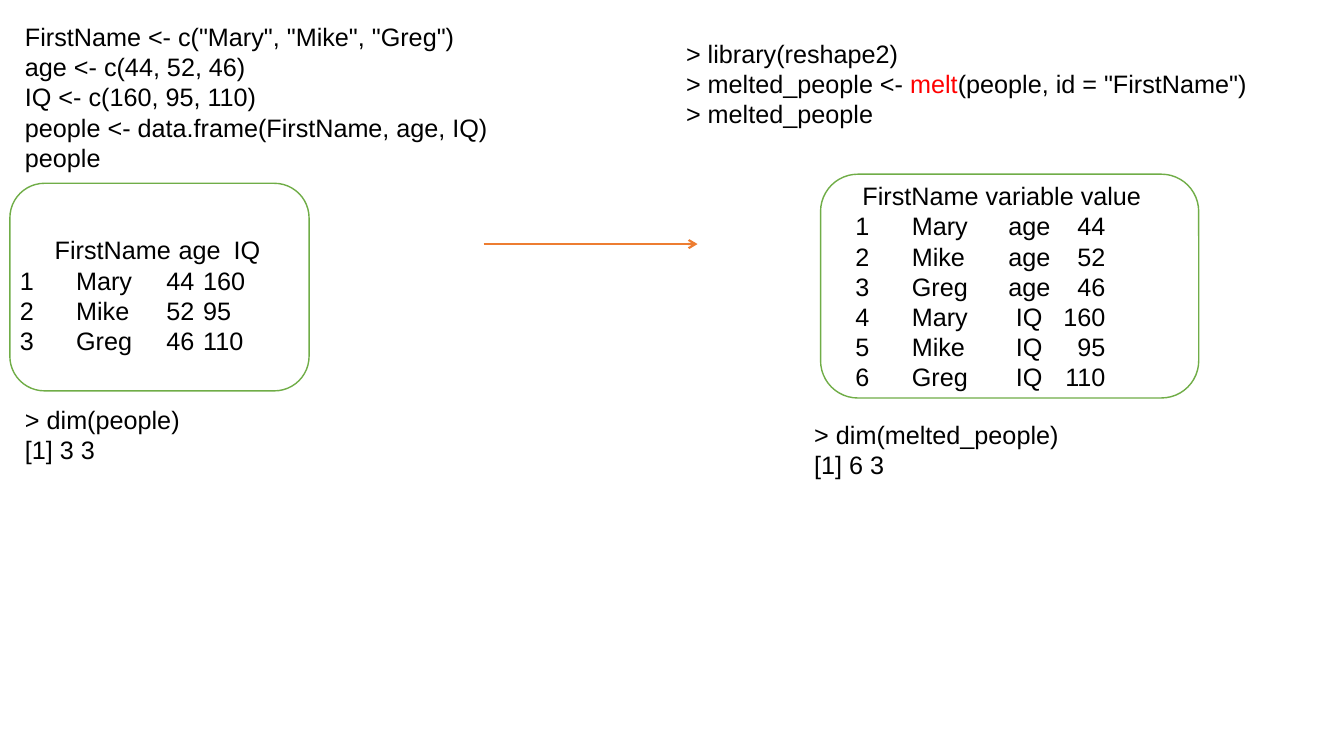
from dataclasses import dataclass

from lxml.etree import SubElement
from pptx import Presentation
from pptx.dml.color import RGBColor
from pptx.enum.shapes import MSO_CONNECTOR as Connector, MSO_SHAPE as Shape
from pptx.enum.text import MSO_AUTO_SIZE as AutoSize
from pptx.oxml.ns import qn
from pptx.slide import Slide
from pptx.util import Cm, Pt

BLACK, RED, GREEN, ORANGE = "000000", "FF0000", "70AD47", "ED7D31"
FONT_FORMAT = {"name": "Arial", "size": Pt(18)}


@dataclass(frozen=True)
class Area:
    left: float
    top: float
    width: float
    height: float

    def lengths(self) -> list[Cm]:
        return [Cm(value) for value in (self.left, self.top, self.width, self.height)]


@dataclass(frozen=True)
class TabStop:
    position: float
    alignment: str = "l"


@dataclass(frozen=True)
class TextBlock:
    area: Area
    lines: tuple[str, ...]
    header_stops: tuple[TabStop, ...] = ()
    row_stops: tuple[TabStop, ...] = ()
    highlight: str = ""


CODE = TextBlock(
    Area(0.38, 0.41, 17.45, 4.88),
    (
        'FirstName <- c("Mary", "Mike", "Greg")',
        "age <- c(44, 52, 46)",
        "IQ <- c(160, 95, 110)",
        "people <- data.frame(FirstName, age, IQ)",
        "people",
    ),
)
PEOPLE = TextBlock(
    Area(0.25, 5.79, 10.19, 3.33),
    (
        "\tFirstName\tage\tIQ",
        "1\tMary\t44\t160",
        "2\tMike\t52\t95",
        "3\tGreg\t46\t110",
    ),
    header_stops=(TabStop(0.88), TabStop(4), TabStop(5.39)),
    row_stops=(TabStop(1.42), TabStop(4.4, "r"), TabStop(4.62)),
)
PEOPLE_SIZE = TextBlock(Area(0.38, 10.06, 7.06, 1.8), ("> dim(people)", "[1] 3 3"))
MELT_CODE = TextBlock(
    Area(17.04, 0.84, 16.82, 2.57),
    (
        "> library(reshape2)",
        '> melted_people <- melt(people, id = "FirstName")',
        "> melted_people",
    ),
    highlight="melt(",
)
MELTED = TextBlock(
    Area(21.31, 4.42, 10.92, 5.64),
    (
        " FirstName variable value",
        "1\tMary\tage\t44",
        "2\tMike\tage\t52",
        "3\tGreg\tage\t46",
        "4\tMary\tIQ\t160",
        "5\tMike\tIQ\t95",
        "6\tGreg\tIQ\t110",
    ),
    row_stops=(TabStop(1.42), TabStop(4.38, "ctr"), TabStop(6.3, "r")),
)
MELTED_SIZE = TextBlock(
    Area(20.27, 10.44, 10.34, 1.8), ("> dim(melted_people)", "[1] 6 3")
)
BLOCKS = (CODE, PEOPLE, PEOPLE_SIZE, MELT_CODE, MELTED, MELTED_SIZE)
FRAMES = (Area(0.25, 4.62, 7.54, 5.23), Area(20.68, 4.39, 9.53, 5.64))


def color(code: str) -> RGBColor:
    return RGBColor.from_string(code)


def add_span(para, text: str, code: str = BLACK) -> None:
    span = para.add_run()
    span.text = text
    for name, value in FONT_FORMAT.items():
        setattr(span.font, name, value)
    span.font.color.rgb = color(code)


def set_tab_stops(para, stops: tuple[TabStop, ...]) -> None:
    if not stops:
        return
    tab_list = SubElement(para._p.get_or_add_pPr(), qn("a:tabLst"))
    for stop in stops:
        SubElement(
            tab_list, qn("a:tab"), pos=str(Cm(stop.position)), algn=stop.alignment
        )


def add_text(page: Slide, block: TextBlock) -> None:
    frame = page.shapes.add_textbox(*block.area.lengths()).text_frame
    frame.word_wrap = True
    frame.auto_size = AutoSize.SHAPE_TO_FIT_TEXT
    for number, line in enumerate(block.lines):
        para = frame.add_paragraph() if number else frame.paragraphs[0]
        set_tab_stops(para, block.row_stops if number else block.header_stops)
        if block.highlight and block.highlight in line:
            before, after = line.split(block.highlight)
            add_span(para, before)
            add_span(para, block.highlight[:-1], RED)
            add_span(para, block.highlight[-1] + after)
        else:
            add_span(para, line)


def add_frame(page: Slide, area: Area) -> None:
    box = page.shapes.add_shape(Shape.ROUNDED_RECTANGLE, *area.lengths())
    box.shadow.inherit = False
    box.fill.background()
    box.line.color.rgb = color(GREEN)
    box.line.width = Pt(1)


def add_arrow(page: Slide, start: float, end: float, height: float) -> None:
    arrow = page.shapes.add_connector(
        Connector.STRAIGHT, Cm(start), Cm(height), Cm(end), Cm(height)
    )
    arrow.line.color.rgb = color(ORANGE)
    arrow.line.width = Pt(1.5)
    SubElement(arrow.line._get_or_add_ln(), qn("a:tailEnd"), type="arrow")
    SubElement(arrow._element.spPr, qn("a:effectLst"))


def main() -> None:
    deck = Presentation()
    deck.slide_width, deck.slide_height = Cm(33.87), Cm(19.05)
    page = deck.slides.add_slide(deck.slide_layouts[6])
    for area in FRAMES:
        add_frame(page, area)
    add_arrow(page, 12.19, 17.58, 6.15)
    for block in BLOCKS:
        add_text(page, block)
    deck.save("out.pptx")


if __name__ == "__main__":
    main()
